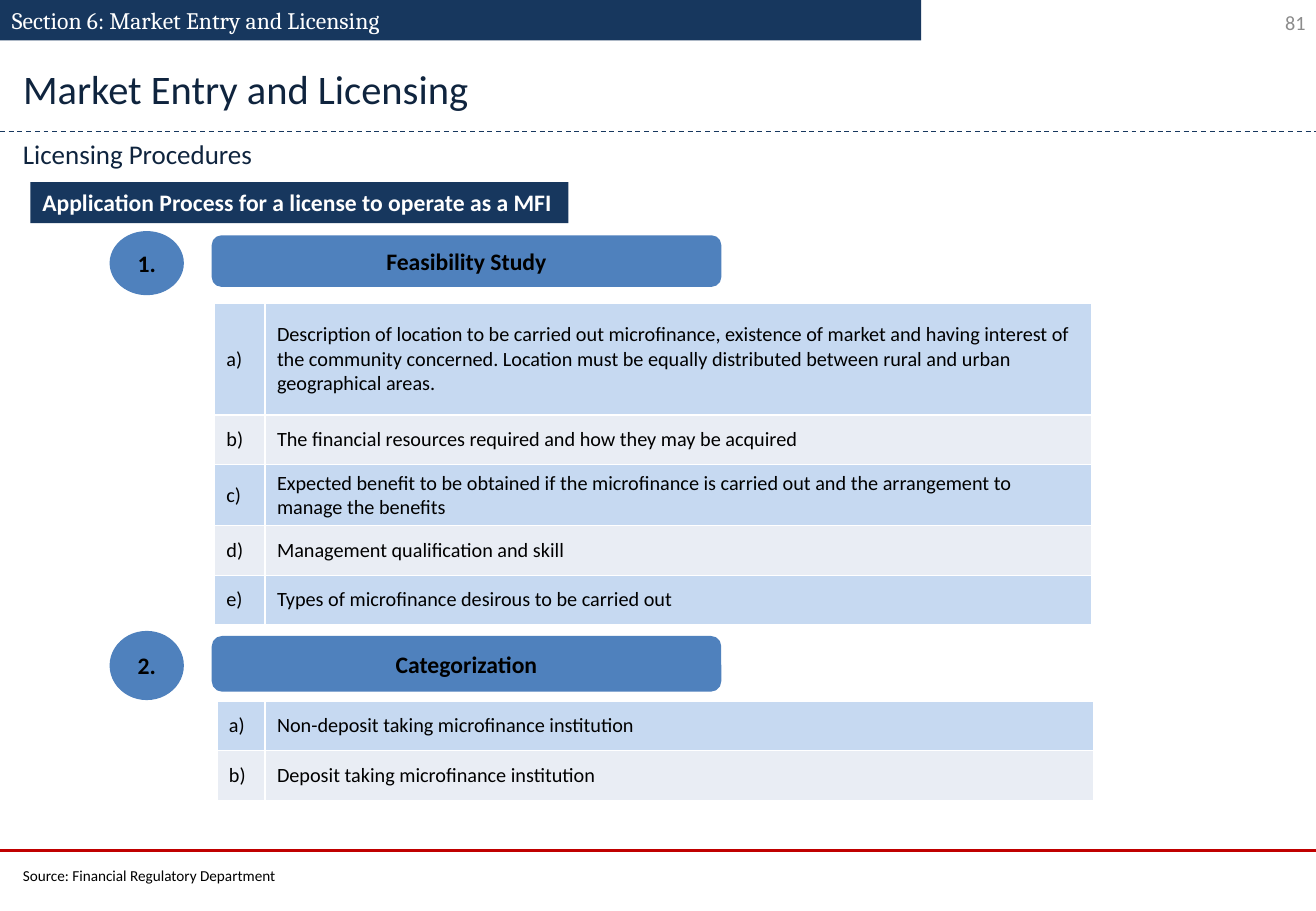
"""Build the slide on licensing procedures for microfinance institutions."""
from dataclasses import dataclass

import pptx
import pptx.dml.color
import pptx.enum.dml
import pptx.enum.shapes
import pptx.enum.text
import pptx.oxml
import pptx.oxml.ns
import pptx.util
from lxml import etree

Pt = pptx.util.Pt
Align = pptx.enum.text.PP_ALIGN
Anchor = pptx.enum.text.MSO_ANCHOR
Shape = pptx.enum.shapes.MSO_SHAPE

NAVY, INK, BLUE, RED = "17375E", "0F243E", "4F81BD", "C00000"
WHITE, BLACK, GREY = "FFFFFF", "000000", "8C8C8C"
BANDS = ("C6D9F1", "E9EDF4")
SLIDE_WIDTH, SLIDE_HEIGHT = 780, 540
TEXT_LEFT = 6.5
ROW = 29.5


@dataclass(frozen=True)
class Box:
    left: float
    top: float
    width: float
    height: float

    def lengths(self) -> tuple:
        return Pt(self.left), Pt(self.top), Pt(self.width), Pt(self.height)


@dataclass(frozen=True)
class TextStyle:
    size: float
    color: str
    bold: bool = False
    font: str = "Calibri"
    align: Align = Align.LEFT
    anchor: Anchor = Anchor.TOP
    wrap: bool = True


@dataclass(frozen=True)
class Step:
    number: str
    heading: str
    circle: Box
    banner: Box
    table_left: float
    table_top: float
    columns: tuple[float, float]
    rows: tuple[tuple[float, str], ...]


HEADING = TextStyle(14, BLACK, bold=True, align=Align.CENTER, anchor=Anchor.MIDDLE)
CELL = TextStyle(12, BLACK, anchor=Anchor.MIDDLE)

STEPS = (
    Step("1.", "Feasibility Study", Box(66, 138, 42, 36), Box(126.5, 140.5, 300, 28.5),
         127, 180, (30, 490), (
             (66, "Description of location to be carried out microfinance, existence of market "
                  "and having interest of the community concerned. Location must be equally "
                  "distributed between rural and urban geographical areas."),
             (ROW, "The financial resources required and how they may be acquired"),
             (36, "Expected benefit to be obtained if the microfinance is carried out and the "
                  "arrangement to manage the benefits"),
             (ROW, "Management qualification and skill"),
             (ROW, "Types of microfinance desirous to be carried out"))),
    Step("2.", "Categorization", Box(66, 375, 42, 39), Box(126.5, 378, 300, 31),
         128.5, 415.5, (28.5, 491.5), (
             (ROW, "Non-deposit taking microfinance institution"),
             (ROW, "Deposit taking microfinance institution"))),
)


def rgb(color: str) -> pptx.dml.color.RGBColor:
    return pptx.dml.color.RGBColor.from_string(color)


def write(frame, text: str, style: TextStyle) -> None:
    frame.text = text
    frame.word_wrap = style.wrap
    frame.vertical_anchor = style.anchor
    paragraph = frame.paragraphs[0]
    paragraph.alignment = style.align
    font = paragraph.runs[0].font
    font.name, font.size, font.bold = style.font, Pt(style.size), style.bold
    font.color.rgb = rgb(style.color)


def add_text(slide, box: Box, text: str, style: TextStyle) -> None:
    write(slide.shapes.add_textbox(*box.lengths()).text_frame, text, style)


def add_shape(shapes, kind: Shape, box: Box, fill: str, line: str | None = None):
    shape = shapes.add_shape(kind, *box.lengths())
    shape.shadow.inherit = False
    shape.fill.solid()
    shape.fill.fore_color.rgb = rgb(fill)
    if line is None:
        shape.line.fill.background()
    else:
        shape.line.color.rgb = rgb(line)
        shape.line.width = Pt(2)
    return shape


def add_rule(slide, top: float, color: str, width: float, dashed: bool = False) -> None:
    rule = slide.shapes.add_connector(pptx.enum.shapes.MSO_CONNECTOR.STRAIGHT,
                                      Pt(0), Pt(top), Pt(SLIDE_WIDTH), Pt(top))
    rule.line.color.rgb = rgb(color)
    rule.line.width = Pt(width)
    if dashed:
        rule.line.dash_style = pptx.enum.dml.MSO_LINE.DASH
    etree.SubElement(rule.element.spPr, pptx.oxml.ns.qn("a:effectLst"))


def add_borders(cell, color: str, width: float) -> None:
    properties = cell._tc.get_or_add_tcPr()
    for side in "LRTB":
        properties.append(pptx.oxml.parse_xml(
            f'<a:ln{side} {pptx.oxml.ns.nsdecls("a")} w="{Pt(width)}">'
            f'<a:solidFill><a:srgbClr val="{color}"/></a:solidFill></a:ln{side}>'))


def add_table(slide, step: Step) -> None:
    height = sum(row_height for row_height, _ in step.rows)
    box = Box(step.table_left, step.table_top, sum(step.columns), height)
    table = slide.shapes.add_table(len(step.rows), 2, *box.lengths()).table
    table.first_row = table.horz_banding = False
    for column, width in zip(table.columns, step.columns):
        column.width = Pt(width)
    for index, (row_height, text) in enumerate(step.rows):
        table.rows[index].height = Pt(row_height)
        for cell, content in zip(table.rows[index].cells, (f"{'abcde'[index]})", text)):
            add_borders(cell, WHITE, 1)
            cell.fill.solid()
            cell.fill.fore_color.rgb = rgb(BANDS[index % 2])
            write(cell.text_frame, content, CELL)
            cell.vertical_anchor = CELL.anchor


def add_step(slide, step: Step) -> None:
    group = slide.shapes.add_group_shape()
    for kind, box, text in ((Shape.OVAL, step.circle, step.number),
                            (Shape.ROUNDED_RECTANGLE, step.banner, step.heading)):
        write(add_shape(group.shapes, kind, box, BLUE, BLUE).text_frame, text, HEADING)
    add_table(slide, step)


def main() -> None:
    presentation = pptx.Presentation()
    presentation.slide_width, presentation.slide_height = Pt(SLIDE_WIDTH), Pt(SLIDE_HEIGHT)
    slide = presentation.slides.add_slide(presentation.slide_layouts[5])

    title = slide.shapes.title
    title.left, title.top, title.width, title.height = Box(TEXT_LEFT, 34.5, 600, 36).lengths()
    write(title.text_frame, "Market Entry and Licensing", TextStyle(24, INK))
    title.text_frame.auto_size = pptx.enum.text.MSO_AUTO_SIZE.NONE

    add_text(slide, Box(599, -1.5, 182, 29), "81",
             TextStyle(12, GREY, align=Align.RIGHT, anchor=Anchor.MIDDLE))
    add_rule(slide, 504, RED, 1.5)
    add_shape(slide.shapes, Shape.RECTANGLE, Box(0, 0, 546, 24), NAVY)
    add_rule(slide, 78, NAVY, 0.75, dashed=True)

    label = add_shape(slide.shapes, Shape.RECTANGLE, Box(18, 108, 319, 24.25), NAVY)
    write(label.text_frame, "Application Process for a license to operate as a MFI",
          TextStyle(14, WHITE, bold=True, wrap=False))
    for step in STEPS:
        add_step(slide, step)

    add_text(slide, Box(0, 0, 546, 24.25), "Section 6: Market Entry and Licensing",
             TextStyle(14, WHITE, font="Cambria"))
    add_text(slide, Box(TEXT_LEFT, 78, 719, 26.5), "Licensing Procedures", TextStyle(16, INK))
    add_text(slide, Box(TEXT_LEFT, 510, 166, 18), "Source: Financial Regulatory Department",
             TextStyle(9, BLACK, wrap=False))
    presentation.save("out.pptx")


if __name__ == "__main__":
    main()
